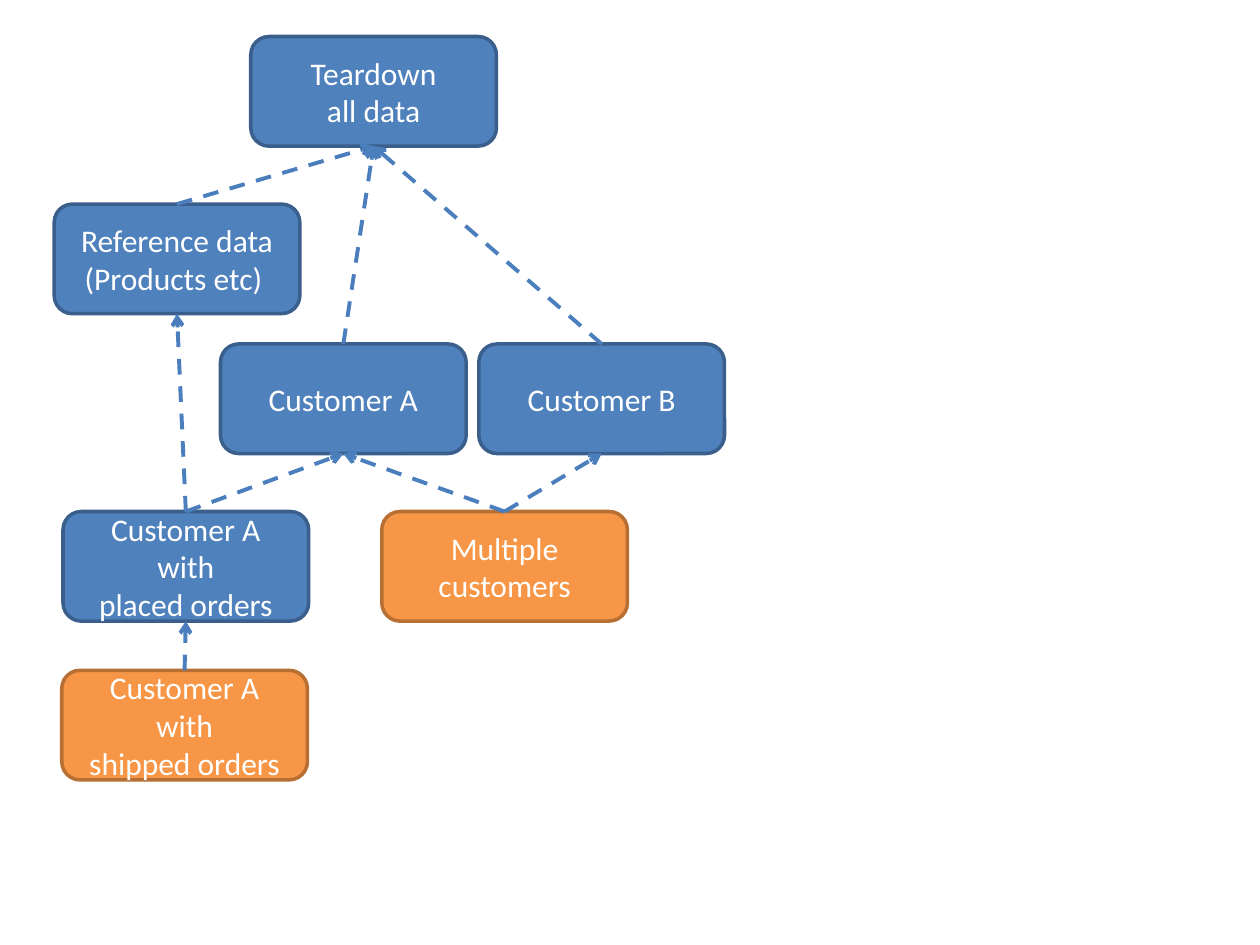
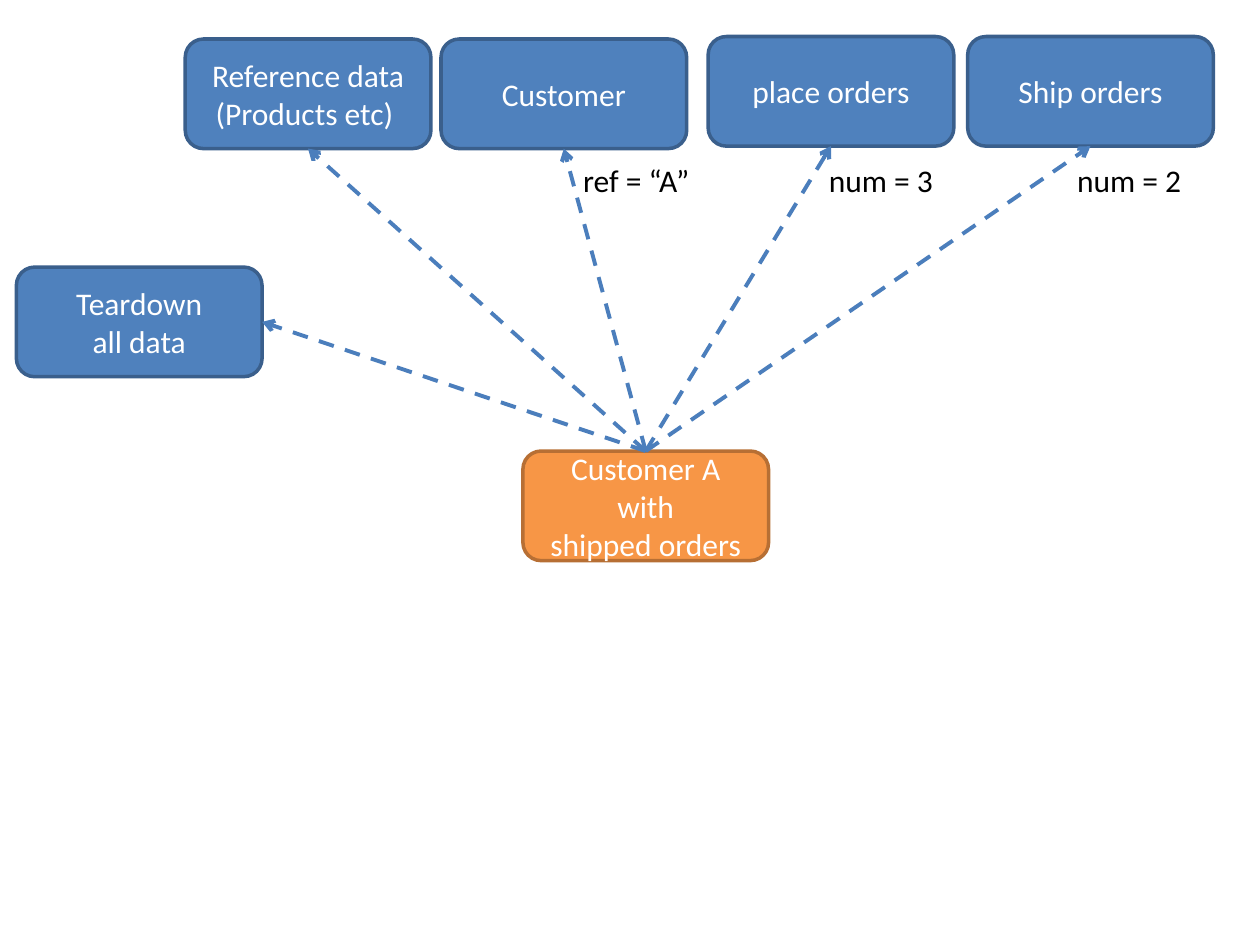
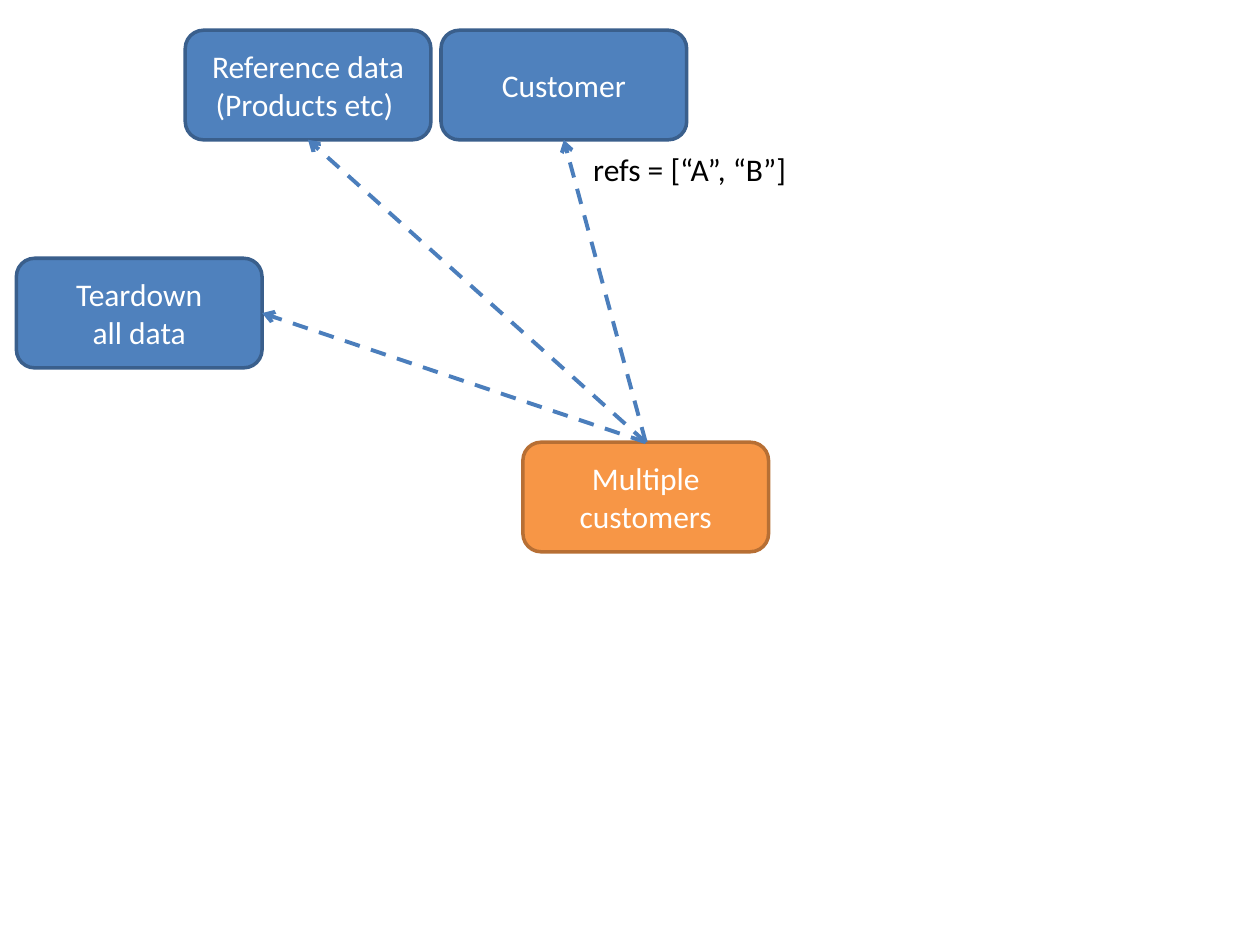
from lxml import etree
from pptx import Presentation, util as u
from pptx.dml.color import RGBColor
from pptx.enum import dml, shapes, text
from pptx.oxml.ns import qn

COLORS = {
    "step": "4F81BD", "step_edge": "3A5F8C",
    "target": "F79646", "target_edge": "B76F34",
    "arrow": "4B7EBC", "box_text": "FFFFFF", "label_text": "000000",
}
BOX_WIDTH, BOX_HEIGHT = 1.95, 0.87
LABEL_HEIGHT = 0.4
TOP, BOTTOM, RIGHT = 0, 2, 3  # connection sites of a rounded rectangle

TEARDOWN = ["Teardown\nall data"]
REFERENCE = ["Reference data (Products etc) "]
SHIPPED = ["Customer A", "with\nshipped orders"]


def color(name):
    return RGBColor.from_string(COLORS[name])


def write(frame, paragraphs, fill, align=None, size=18, font="Calibri"):
    for index, words in enumerate(paragraphs):
        paragraph = frame.add_paragraph() if index else frame.paragraphs[0]
        paragraph.text = words
        paragraph.alignment = align
        for run in paragraph.runs:
            run.font.name = font
            run.font.size = u.Pt(size)
            run.font.color.rgb = color(fill)


class Diagram:
    def __init__(self, deck):
        self.deck = deck
        self.slide = None

    def new_slide(self):
        self.slide = self.deck.slides.add_slide(self.deck.slide_layouts[6])

    def box(self, paragraphs, left, top, kind="step"):
        box = self.slide.shapes.add_shape(
            shapes.MSO_SHAPE.ROUNDED_RECTANGLE, u.Inches(left), u.Inches(top),
            u.Inches(BOX_WIDTH), u.Inches(BOX_HEIGHT))
        box.shadow.inherit = False
        box.fill.solid()
        box.fill.fore_color.rgb = color(kind)
        box.line.color.rgb = color(kind + "_edge")
        box.line.width = u.Pt(2)
        box.text_frame.word_wrap = True
        box.text_frame.vertical_anchor = text.MSO_ANCHOR.MIDDLE
        write(box.text_frame, paragraphs, "box_text", text.PP_ALIGN.CENTER)
        return box

    def label(self, words, left, top, width):
        label = self.slide.shapes.add_textbox(
            u.Inches(left), u.Inches(top), u.Inches(width), u.Inches(LABEL_HEIGHT))
        label.text_frame.word_wrap = False
        label.text_frame.auto_size = text.MSO_AUTO_SIZE.SHAPE_TO_FIT_TEXT
        write(label.text_frame, [words], "label_text")

    def depends(self, child, parent, site=BOTTOM):
        """Draw a dashed arrow from the top of child to a side of parent."""
        arrow = self.slide.shapes.add_connector(shapes.MSO_CONNECTOR.STRAIGHT, 0, 0, 0, 0)
        arrow.begin_connect(child, TOP)
        arrow.end_connect(parent, site)
        arrow.line.color.rgb = color("arrow")
        arrow.line.width = u.Pt(2.25)
        arrow.line.dash_style = dml.MSO_LINE.DASH
        etree.SubElement(arrow.line._get_or_add_ln(), qn("a:tailEnd"), type="arrow")
        etree.SubElement(arrow._element.spPr, qn("a:effectLst"))


def dependency_tree(diagram):
    diagram.new_slide()
    customer_b = diagram.box(["Customer B"], 3.8, 2.73)
    customer_a = diagram.box(["Customer A"], 1.75, 2.73)
    reference = diagram.box(REFERENCE, 0.43, 1.62)
    teardown = diagram.box(TEARDOWN, 1.99, 0.29)
    placed = diagram.box(["Customer A with\nplaced orders"], 0.5, 4.06)
    shipped = diagram.box(SHIPPED, 0.49, 5.32, "target")
    multiple = diagram.box(["Multiple\ncustomers"], 3.03, 4.06, "target")
    for child, parent in [
            (shipped, placed), (placed, customer_a), (placed, reference),
            (customer_a, teardown), (customer_b, teardown), (reference, teardown),
            (multiple, customer_a), (multiple, customer_b)]:
        diagram.depends(child, parent)


def scenario(diagram, target_text, top, steps, labels, label_top):
    """Draw one target that calls teardown, reference data and further steps."""
    diagram.new_slide()
    target = diagram.box(target_text, 4.15, top + 3.27, "target")
    teardown = diagram.box(TEARDOWN, 0.13, top + 1.81)
    diagram.depends(target, teardown, RIGHT)
    for paragraphs, left, step_top in [(REFERENCE, 1.47, top),
                                       (["Customer"], 3.5, top), *steps]:
        diagram.depends(target, diagram.box(paragraphs, left, step_top))
    for words, left, width in labels:
        diagram.label(words, left, label_top, width)


def main():
    deck = Presentation()
    deck.slide_width, deck.slide_height = u.Inches(10), u.Inches(7.5)
    diagram = Diagram(deck)
    dependency_tree(diagram)
    scenario(diagram, SHIPPED, 0.31,
             steps=[(["place orders"], 5.62, 0.29), (["Ship orders"], 7.68, 0.29)],
             labels=[("ref = “A”", 4.53, 1.05), ("num = 3", 6.48, 1.04),
                     ("num = 2", 8.45, 1.04)],
             label_top=1.23)
    scenario(diagram, ["Multiple customers"], 0.24, steps=[],
             labels=[("refs = [“A”, “B”]", 4.61, 1.75)], label_top=1.14)
    deck.save("out.pptx")


if __name__ == "__main__":
    main()
